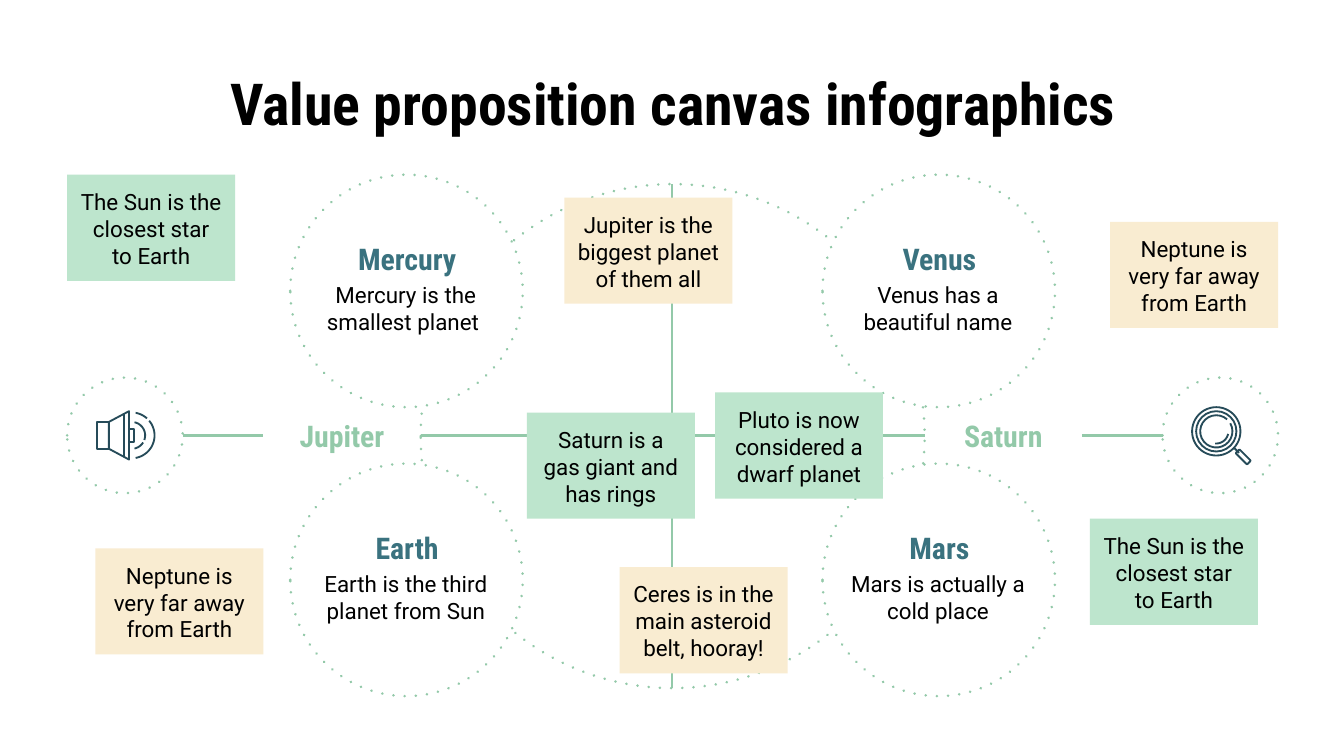
from math import cos, radians, sin

from lxml.etree import SubElement
from pptx import Presentation
from pptx.dml.color import RGBColor
from pptx.enum.shapes import MSO_CONNECTOR, MSO_SHAPE
from pptx.enum.text import MSO_ANCHOR, PP_ALIGN
from pptx.oxml.ns import qn
from pptx.util import Inches, Pt

BLACK = RGBColor(0, 0, 0)
WHITE = RGBColor(255, 255, 255)
GREEN = RGBColor(0x93, 0xC9, 0xA9)
MINT = RGBColor(0xBD, 0xE5, 0xCD)
CREAM = RGBColor(0xF9, 0xEC, 0xD1)
TEAL = RGBColor(0x3A, 0x72, 0x7F)
NAVY = RGBColor(0x26, 0x4B, 0x59)
BODY_FONT, HEADING_FONT = "Roboto", "Roboto Condensed"

TITLE = "Value proposition canvas infographics"
CENTER_X, CENTER_Y = 5, 3.24
PLANETS = [
    ("Earth", "Earth is the third planet from Sun", 2.16, 3.45),
    ("Mercury", "Mercury is the smallest planet ", 2.16, 1.3),
    ("Mars", "Mars is actually a cold place", 6.12, 3.45),
    ("Venus", "Venus has a beautiful name", 6.12, 1.3),
]
SIDES = [("Jupiter", 1.96, 0.5), ("Saturn", 6.88, 8.65)]
AXES = [
    (3.13, CENTER_Y, 6.88, CENTER_Y),
    (CENTER_X, 1.37, CENTER_X, 5.12),
    (1.36, CENTER_Y, 1.96, CENTER_Y),
    (8.05, CENTER_Y, 8.65, CENTER_Y),
]
NOTES = [
    ("Jupiter is the biggest planet of them all", 4.2, 1.47, CREAM),
    ("Saturn is a gas giant and has rings", 3.92, 3.07, MINT),
    ("The Sun is the closest star to Earth", 0.5, 1.3, MINT),
    ("Neptune is very far away from Earth", 0.71, 4.08, CREAM),
    ("The Sun is the closest star to Earth", 8.11, 3.86, MINT),
    ("Neptune is very far away from Earth", 8.26, 1.65, CREAM),
    ("Ceres is in the main asteroid belt, hooray!", 4.61, 4.22, CREAM),
    ("Pluto is now considered a dwarf planet", 5.32, 2.92, MINT),
]
LENS_X, LENS_Y = 9.05, 3.21
LENS_RADII = [0.18, 0.15]
LENS_ARCS = [(0.12, -30, 312), (0.09, 12, 95)]
SPEAKER_OUTLINES = [
    [(0.72, 3.14), (0.81, 3.14), (0.81, 3.34), (0.72, 3.34)],
    [(0.81, 3.14), (0.96, 3.06), (0.96, 3.42), (0.81, 3.34)],
    [(0.96, 3.19), (1, 3.19), (1, 3.29), (0.96, 3.29)],
]
SOUND_X = 0.98
SOUND_ARCS = [(0.17, -80, -48), (0.17, -40, 80), (0.1, -78, 20), (0.1, 32, 78)]

deck = Presentation()
deck.slide_width = Inches(10)
deck.slide_height = deck.slide_width * 9 // 16
page = deck.slides.add_slide(deck.slide_layouts[6])
shapes = page.shapes


def write(box, text, size, font, color, bold=False, anchor=MSO_ANCHOR.TOP):
    frame = box.text_frame
    frame.word_wrap = True
    frame.vertical_anchor = anchor
    frame.margin_left = frame.margin_right = Inches(0.1)
    frame.margin_top = frame.margin_bottom = Inches(0.1)
    para = frame.paragraphs[0]
    para.alignment = PP_ALIGN.CENTER
    span = para.add_run()
    span.text = text
    span.font.size, span.font.name = Pt(size), font
    span.font.bold, span.font.color.rgb = bold, color


def add_text(text, left, top, width, height, *style, **options):
    box = shapes.add_textbox(Inches(left), Inches(top), Inches(width), Inches(height))
    write(box, text, *style, **options)


def paint(shape, fill=None, line=None, weight=1.5):
    shape.shadow.inherit = False
    if fill is None:
        shape.fill.background()
    else:
        shape.fill.solid()
        shape.fill.fore_color.rgb = fill
    if line is None:
        shape.line.fill.background()
    else:
        shape.line.color.rgb = line
        shape.line.width = Pt(weight)


def add_circle(left, top, size, fill, line, weight=1.5):
    circle = shapes.add_shape(MSO_SHAPE.OVAL, Inches(left), Inches(top), Inches(size), Inches(size))
    paint(circle, fill, line, weight)
    return circle


def add_dotted_circle(left, top, size, fill=None):
    outline = add_circle(left, top, size, fill, GREEN).line._get_or_add_ln()
    outline.set("cap", "rnd")
    SubElement(outline, qn("a:prstDash")).set("val", "dot")


def add_line(x1, y1, x2, y2, color=GREEN, weight=1.5):
    line = shapes.add_connector(MSO_CONNECTOR.STRAIGHT, Inches(x1), Inches(y1), Inches(x2), Inches(y2))
    line.line.color.rgb = color
    line.line.width = Pt(weight)
    SubElement(line._element.spPr, qn("a:effectLst"))


def add_outline(points, close):
    corners = [(Inches(x), Inches(y)) for x, y in points]
    builder = shapes.build_freeform(*corners[0])
    builder.add_line_segments(corners[1:], close=close)
    paint(builder.convert_to_shape(), None, NAVY, 1)


def add_arc(x, y, radius, start, end):
    steps = 24
    angles = [radians(start + (end - start) * step / steps) for step in range(steps + 1)]
    add_outline([(x + radius * cos(angle), y + radius * sin(angle)) for angle in angles], False)


add_dotted_circle(3.13, 1.37, 3.75, WHITE)
add_text(TITLE, 0.5, 0.45, 9.01, 0.62, 31, HEADING_FONT, BLACK, True, anchor=MSO_ANCHOR.MIDDLE)

for name, fact, left, top in PLANETS:
    add_dotted_circle(left, top, 1.73, WHITE)
    add_text(fact, left + 0.11, top + 0.69, 1.5, 0.65, 12, BODY_FONT, BLACK)
    add_text(name, left + 0.12, top + 0.39, 1.5, 0.46, 16, HEADING_FONT, TEAL, True)

for axis in AXES:
    add_line(*axis)

for name, label_left, circle_left in SIDES:
    add_text(name, label_left, 3.01, 1.17, 0.46, 16, HEADING_FONT, GREEN, True)
    add_dotted_circle(circle_left, 2.81, 0.86)

for radius in LENS_RADII:
    add_circle(LENS_X - radius, LENS_Y - radius, 2 * radius, None, NAVY, 1)
for arc in LENS_ARCS:
    add_arc(LENS_X, LENS_Y, *arc)
add_line(9.18, 3.33, 9.22, 3.37, NAVY, 1)
grip = shapes.add_shape(MSO_SHAPE.ROUNDED_RECTANGLE, Inches(9.19), Inches(3.38), Inches(0.12), Inches(0.04))
grip.rotation = 45
paint(grip, None, NAVY, 1)

for outline in SPEAKER_OUTLINES:
    add_outline(outline, True)
add_line(0.92, 3.08, 0.92, 3.4, NAVY, 1)
for arc in SOUND_ARCS:
    add_arc(SOUND_X, CENTER_Y, *arc)

for text, left, top, color in NOTES:
    note = shapes.add_shape(MSO_SHAPE.RECTANGLE, Inches(left), Inches(top), Inches(1.25), Inches(0.79))
    paint(note, color)
    write(note, text, 12, BODY_FONT, BLACK)

deck.save("out.pptx")
